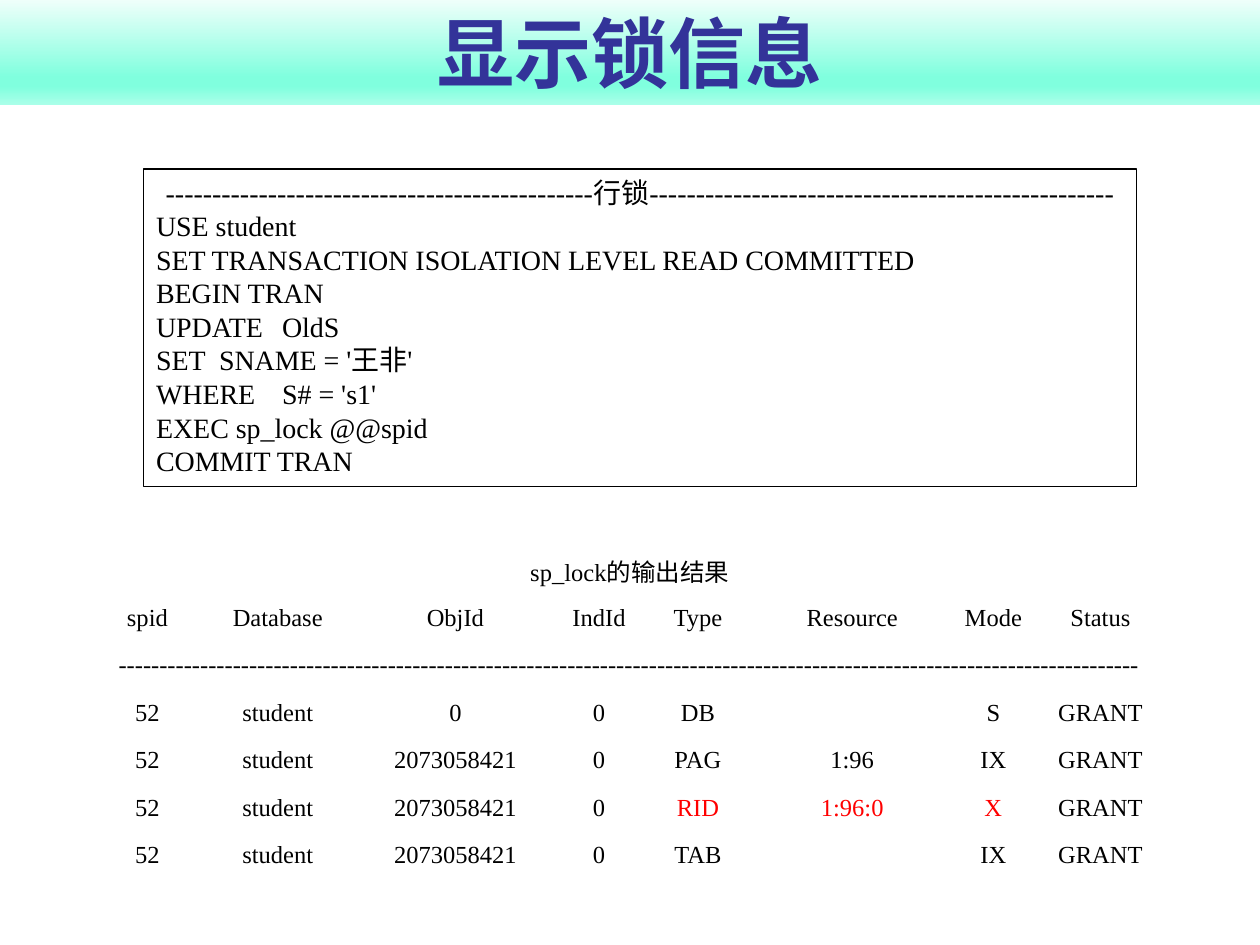
from copy import deepcopy

from pptx import Presentation
from pptx.dml.color import RGBColor
from pptx.enum.shapes import MSO_SHAPE
from pptx.enum.text import MSO_ANCHOR, PP_ALIGN
from pptx.util import Inches, Pt

RECTANGLE = MSO_SHAPE.RECTANGLE
MIDDLE, BOTTOM = MSO_ANCHOR.MIDDLE, MSO_ANCHOR.BOTTOM
CENTER, JUSTIFY = PP_ALIGN.CENTER, PP_ALIGN.JUSTIFY
BLACK = RGBColor(0x00, 0x00, 0x00)
WHITE = RGBColor(0xFF, 0xFF, 0xFF)
RED = RGBColor(0xFF, 0x00, 0x00)
INDIGO = RGBColor(0x33, 0x33, 0x99)
PALE_MINT = RGBColor(0xF1, 0xFF, 0xFB)
MINT = RGBColor(0x80, 0xFF, 0xDE)
SOFT_MINT = RGBColor(0xAA, 0xFF, 0xE9)
BODY_FONT = "Times New Roman"

presentation = Presentation()
presentation.slide_width = Inches(10)
presentation.slide_height = Inches(7.5)
slide = presentation.slides.add_slide(presentation.slide_layouts[6])


def add_box(left, top, width, height, anchor):
    shape = slide.shapes.add_shape(
        RECTANGLE, Inches(left), Inches(top), Inches(width), Inches(height))
    shape.shadow.inherit = False
    shape.text_frame.word_wrap = True
    shape.text_frame.vertical_anchor = anchor
    return shape


def write(paragraph, text, size, color=BLACK, alignment=CENTER, font=BODY_FONT):
    paragraph.alignment = alignment
    run = paragraph.add_run()
    run.text = text
    run.font.size = Pt(size)
    run.font.name = font
    run.font.color.rgb = color
    return run


title = add_box(0, -0.01, 10, 0.84, BOTTOM)
title.line.fill.background()
title.fill.gradient()
title.fill.gradient_angle = 270
stops = title.fill.gradient_stops
stop_list = title._element.spPr.find(".//{*}gsLst")
for _ in range(2):
    stop_list.append(deepcopy(stop_list[-1]))
stops = title.fill.gradient_stops
for stop, position, color in zip(
        stops, (0, 0.74, 0.83, 1), (PALE_MINT, MINT, MINT, SOFT_MINT)):
    stop.position = position
    stop.color.rgb = color
write(title.text_frame.paragraphs[0], "显示锁信息", 44, INDIGO,
      font="Cabin").font.bold = True

code_box = add_box(1.14, 1.34, 7.88, 2.52, MSO_ANCHOR.TOP)
code_box.fill.solid()
code_box.fill.fore_color.rgb = WHITE
code_box.line.color.rgb = BLACK
code_box.line.width = Pt(0.75)
write(code_box.text_frame.paragraphs[0], "-" * 46 + "行锁" + "-" * 50, 16)
code_lines = (
    "USE student",
    "SET TRANSACTION ISOLATION LEVEL READ COMMITTED",
    "BEGIN TRAN",
    "UPDATE \tOldS",
    "SET \tSNAME = '王非'",
    "WHERE\tS# = 's1'",
    "EXEC sp_lock @@spid",
    "COMMIT TRAN",
)
for line in code_lines:
    write(code_box.text_frame.add_paragraph(), line, 16, alignment=JUSTIFY)

column_widths = (0.84, 1.23, 1.59, 0.69, 0.88, 1.57, 0.67, 1.03)
lock_rows = (
    ("sp_lock的输出结果",),
    ("spid", "Database", "ObjId", "IndId", "Type", "Resource", "Mode", "Status"),
    ("-" * 125,),
    ("52", "student", "0", "0", "DB", "", "S", "GRANT"),
    ("52", "student", "2073058421", "0", "PAG", "1:96", "IX", "GRANT"),
    ("52", "student", "2073058421", "0", "RID", "1:96:0", "X", "GRANT"),
    ("52", "student", "2073058421", "0", "TAB", "", "IX", "GRANT"),
)
highlighted = ("RID", "1:96:0", "X")
table = slide.shapes.add_table(
    len(lock_rows), len(column_widths),
    Inches(0.75), Inches(4.34), Inches(sum(column_widths)), Inches(2.64)).table
table.first_row = False
table.horz_banding = False
for column, width in zip(table.columns, column_widths):
    column.width = Inches(width)
for cell in table.iter_cells():
    cell.fill.background()
    cell.vertical_anchor = MIDDLE
    cell.margin_top = cell.margin_bottom = Inches(0.03)
for row_index, values in enumerate(lock_rows):
    if len(values) == 1:
        table.cell(row_index, 0).merge(
            table.cell(row_index, len(column_widths) - 1))
    for column_index, value in enumerate(values):
        if value:
            write(table.cell(row_index, column_index).text_frame.paragraphs[0],
                  value, 14, RED if value in highlighted else BLACK)

presentation.save("out.pptx")
